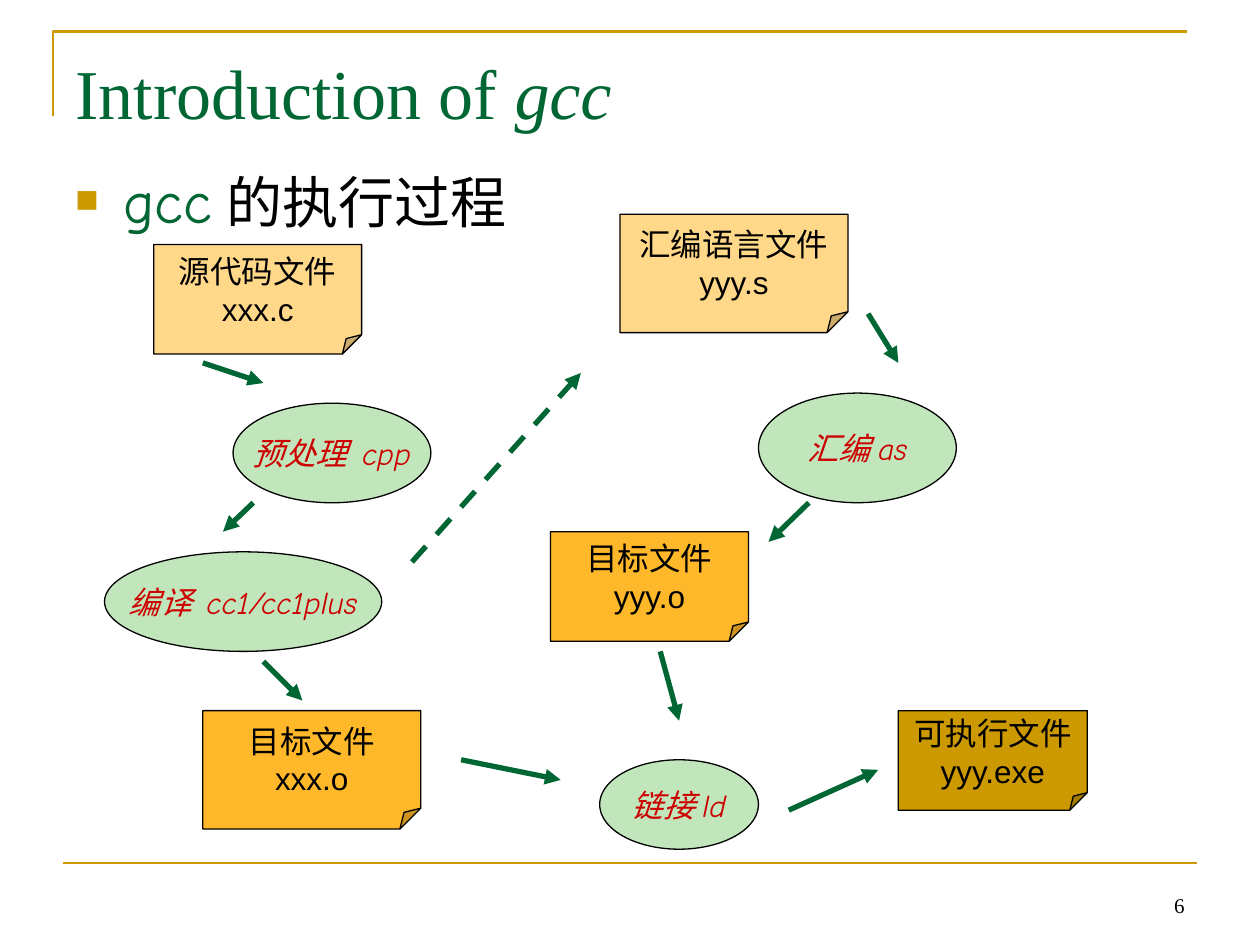
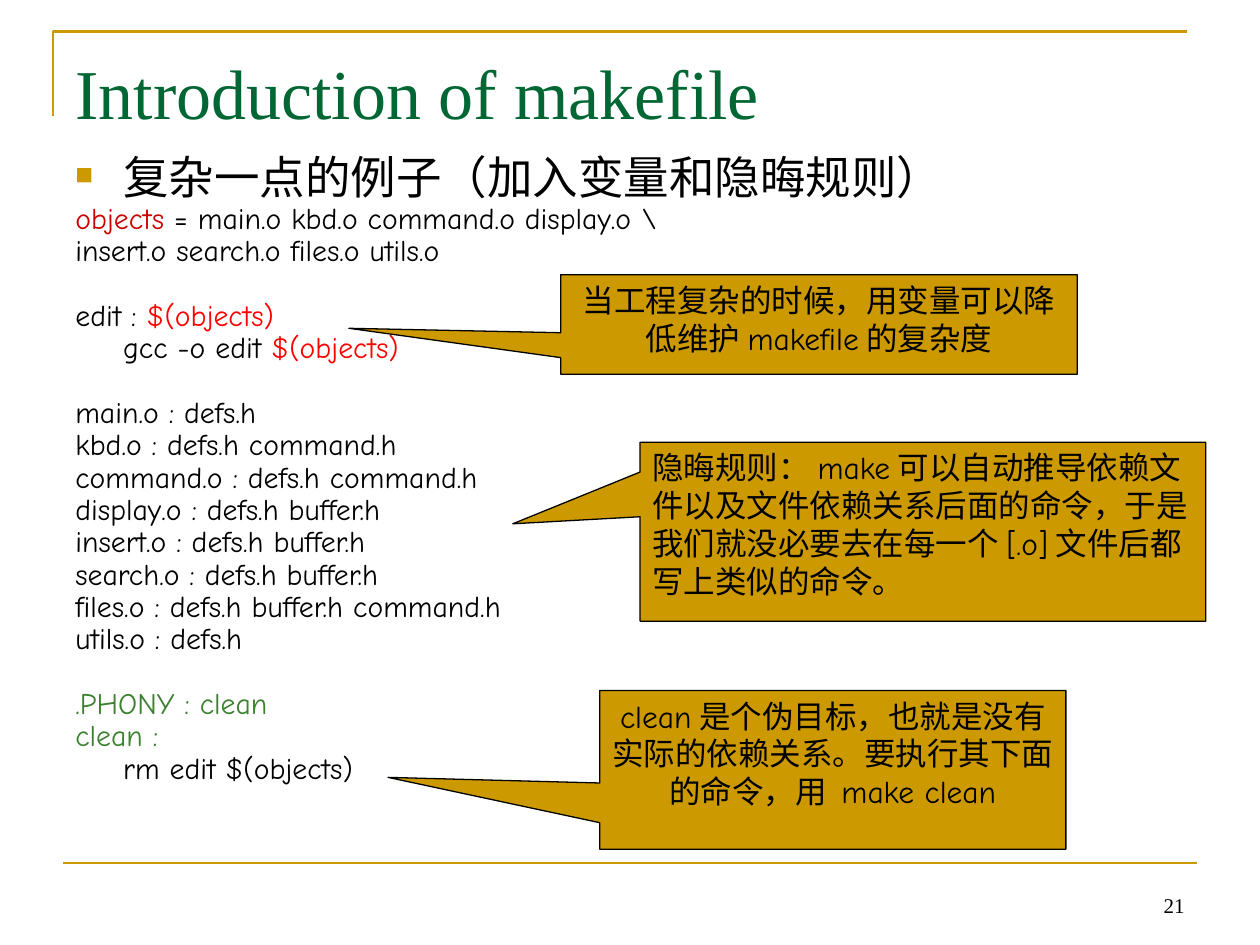
from lxml import etree
from pptx import Presentation
from pptx import util as u
from pptx.dml.color import RGBColor
from pptx.enum import dml, shapes, text
from pptx.oxml import ns

GOLD, GREEN, BLACK, RED = "CC9900", "006633", "000000", "CC0000"
BRIGHT_RED, LEAF = "FF0000", "3B812F"
PAPER, AMBER, MINT = "FFD889", "FFB829", "C2E6BC"
SERIF, SANS, COMIC, CJK = "Times New Roman", "Arial", "Comic Neue", "Noto Sans CJK SC"

TITLE = dict(name=SERIF, size=u.Pt(40), color=GREEN)
NUMBER = dict(name=SERIF, size=u.Pt(12), color=BLACK)
LABEL = dict(name=SANS, size=u.Pt(18), color=BLACK)
NOTE = dict(LABEL, name=CJK)
TERM = dict(LABEL, name=COMIC)
STEP = dict(TERM, color=RED, italic=True)
CODE = dict(TERM, size=u.Pt(17))
VARIABLE = dict(CODE, color=BRIGHT_RED)
PHONY = dict(CODE, color=LEAF)

CENTER = dict(alignment=text.PP_ALIGN.CENTER)
HANGING = 0.38
CODE_LEADING, CODE_GAP = 4.2, 22.7

FILES = [
    ("源代码文件", "xxx.c", PAPER, (1.22, 1.94, 1.65, 0.87)),
    ("目标文件", "xxx.o", AMBER, (1.61, 5.64, 1.73, 0.94)),
    ("汇编语言文件", "yyy.s", PAPER, (4.92, 1.7, 1.81, 0.94)),
    ("目标文件", "yyy.o", AMBER, (4.37, 4.22, 1.57, 0.87)),
    ("可执行文件", "yyy.exe", GOLD, (7.13, 5.64, 1.5, 0.79)),
]
STEPS = [
    ("预处理 cpp", (1.85, 3.2, 1.57, 0.79)),
    ("编译 cc1/cc1plus", (0.83, 4.38, 2.2, 0.79)),
    ("汇编as", (6.02, 3.12, 1.57, 0.87)),
    ("链接ld", (4.76, 6.03, 1.26, 0.71)),
]
FLOWS = [
    (1.61, 2.88, 2.09, 3.04), (2.09, 5.25, 2.4, 5.56), (6.89, 2.49, 7.13, 2.88),
    (2.01, 3.99, 1.77, 4.22), (6.42, 3.99, 6.1, 4.3), (5.24, 5.17, 5.39, 5.72),
    (3.66, 6.03, 4.45, 6.19), (6.26, 6.43, 6.97, 6.11),
]
COMPILE_TO_ASSEMBLY = (3.27, 4.46, 4.61, 2.96)

MAKEFILE = [
    [[("objects ", dict(CODE, color=RED)),
      ("= main.o kbd.o command.o display.o \\", CODE)],
     [("insert.o search.o files.o utils.o", CODE)]],
    [[("edit : ", CODE), ("$(objects)", VARIABLE)],
     [("\tgcc -o edit ", CODE), ("$(objects)", VARIABLE)]],
    [[(rule, CODE)] for rule in (
        "main.o : defs.h",
        "kbd.o : defs.h command.h",
        "command.o : defs.h command.h",
        "display.o : defs.h buffer.h",
        "insert.o : defs.h buffer.h",
        "search.o : defs.h buffer.h",
        "files.o : defs.h buffer.h command.h",
        "utils.o : defs.h")],
    [[(".PHONY : clean", PHONY)], [("clean :", PHONY)],
     [("\trm edit $(objects)", CODE)]],
]
CALLOUTS = [
    ((4.45, 2.18, 4.1, 0.79), dict(adj1=-91000, adj2=3900), CENTER,
     [("当工程复杂的时候，用变量可以降低维护", NOTE), ("makefile", TERM),
      ("的复杂度", NOTE)]),
    ((5.08, 3.51, 4.49, 1.42), dict(adj1=-72500, adj2=-4400), {},
     [("隐晦规则：", NOTE), ("make", TERM),
      ("可以自动推导依赖文件以及文件依赖关系后面的命令，于是我们就没必要去在每一个", NOTE),
      ("[.o]", TERM), ("文件后都写上类似的命令。", NOTE)]),
    ((4.76, 5.48, 3.7, 1.26), dict(adj1=-95400, adj2=4800), CENTER,
     [("clean", TERM),
      ("是个伪目标，也就是没有实际的依赖关系。要执行其下面的命令，用 ", LABEL),
      ("make clean", TERM)]),
]


def rgb(value):
    """Turn a hex string into a colour."""
    return RGBColor.from_string(value)


def inches(values):
    """Convert a sequence of numbers to inch lengths."""
    return [u.Inches(value) for value in values]


def assign(target, values):
    """Set each named attribute on the target."""
    for key, value in values.items():
        setattr(target, key, value)


def add_element(parent, tag, **attributes):
    """Append a drawing element to the parent."""
    return etree.SubElement(parent, ns.qn(tag), attributes)


def write(paragraph, spans, layout=None):
    """Write styled spans into a paragraph."""
    assign(paragraph, layout or {})
    for words, style in spans:
        run = paragraph.add_run()
        run.text = words
        assign(run.font, {k: v for k, v in style.items() if k != "color"})
        run.font.color.rgb = rgb(style["color"])
        add_element(run._r.get_or_add_rPr(), "a:ea", typeface=CJK)


def hang(paragraph):
    """Give a paragraph its hanging indent."""
    properties = paragraph._p.get_or_add_pPr()
    properties.set("marL", str(u.Inches(HANGING)))
    properties.set("indent", str(-u.Inches(HANGING)))
    return properties


def write_heading(paragraph, spans, layout=None):
    """Write a heading with a square gold bullet."""
    properties = hang(paragraph)
    color = add_element(properties, "a:buClr")
    add_element(color, "a:srgbClr", val=GOLD)
    add_element(properties, "a:buSzPct", val="65000")
    add_element(properties, "a:buFont", typeface=SANS)
    add_element(properties, "a:buChar", char="■")
    write(paragraph, spans, layout)


def write_code(paragraph, spans, space):
    """Write one line of code that can start with a tab."""
    tabs = add_element(hang(paragraph), "a:tabLst")
    add_element(tabs, "a:tab", pos="0", algn="l")
    write(paragraph, spans, dict(line_spacing=0.7, space_before=u.Pt(space)))


def add_text(slide, place, anchor=text.MSO_ANCHOR.TOP):
    """Add a wrapping text box and return its frame."""
    frame = slide.shapes.add_textbox(*inches(place)).text_frame
    assign(frame, dict(word_wrap=True, vertical_anchor=anchor))
    return frame


def add_line(slide, ends, color, width):
    """Add a straight line without a shadow."""
    line = slide.shapes.add_connector(shapes.MSO_CONNECTOR.STRAIGHT, *inches(ends))
    line.line.color.rgb = rgb(color)
    line.line.width = u.Pt(width)
    add_element(line._element.spPr, "a:effectLst")
    return line


def add_arrow(slide, ends, dash=None):
    """Add a green arrow of the flow."""
    outline = add_line(slide, ends, GREEN, 3).line
    if dash:
        outline.dash_style = dash
    add_element(outline._get_or_add_ln(), "a:tailEnd", type="triangle")


def add_block(slide, preset, place, fill, guides=None):
    """Add a filled shape with a thin black outline."""
    block = slide.shapes.add_shape(preset, *inches(place))
    block.shadow.inherit = False
    block.fill.solid()
    block.fill.fore_color.rgb = rgb(fill)
    block.line.color.rgb = rgb(BLACK)
    block.line.width = u.Pt(0.75)
    if guides:
        geometry = block._element.spPr.find(ns.qn("a:prstGeom"))
        for child in list(geometry):
            geometry.remove(child)
        values = add_element(geometry, "a:avLst")
        for name, value in guides.items():
            add_element(values, "a:gd", name=name, fmla=f"val {value}")
    return block.text_frame


def add_node(slide, preset, place, fill, lines, style, guides=None):
    """Add a flow node with centred lines of text."""
    frame = add_block(slide, preset, place, fill, guides)
    assign(frame, dict(word_wrap=False, vertical_anchor=text.MSO_ANCHOR.MIDDLE))
    for index, words in enumerate(lines):
        paragraph = frame.add_paragraph() if index else frame.paragraphs[0]
        write(paragraph, [(words, style)], CENTER)


def add_callout(slide, place, pointer, layout, spans):
    """Add a gold callout with its pointer."""
    frame = add_block(slide, shapes.MSO_SHAPE.RECTANGULAR_CALLOUT, place, GOLD, pointer)
    assign(frame, dict(word_wrap=True, vertical_anchor=text.MSO_ANCHOR.TOP))
    write(frame.paragraphs[0], spans, dict(alignment=text.PP_ALIGN.LEFT) | layout)


def add_page(deck, title_spans, number):
    """Add a slide with the shared frame, title and number."""
    slide = deck.slides.add_slide(deck.slide_layouts[5])
    start, corner, end = map(inches, ((0.42, 0.92), (0.42, 0.25), (9.42, 0.25)))
    builder = slide.shapes.build_freeform(*start)
    builder.add_line_segments([corner, end], close=False)
    bracket = builder.convert_to_shape()
    bracket.shadow.inherit = False
    bracket.fill.background()
    bracket.line.color.rgb = rgb(GOLD)
    bracket.line.width = u.Pt(1.5)
    add_line(slide, (0.5, 6.85, 9.5, 6.85), GOLD, 1.5)

    title = slide.shapes.title
    assign(title, dict(zip(("left", "top", "width", "height"), inches((0.5, 0.3, 9, 0.86)))))
    title.text_frame.vertical_anchor = text.MSO_ANCHOR.MIDDLE
    write(title.text_frame.paragraphs[0], title_spans, dict(alignment=text.PP_ALIGN.LEFT))

    footer = add_text(slide, (7.17, 6.92, 2.33, 0.41), text.MSO_ANCHOR.BOTTOM)
    write(footer.paragraphs[0], [(number, NUMBER)], dict(alignment=text.PP_ALIGN.RIGHT))
    body = add_text(slide, (0.5, 1.25, 9, 5.5))
    return slide, body


def build_gcc(deck):
    """Build the slide on how gcc runs."""
    title = [("Introduction of ", TITLE), ("gcc", dict(TITLE, italic=True))]
    slide, body = add_page(deck, title, "6")
    write_heading(body.paragraphs[0], [
        ("gcc", dict(name=COMIC, size=u.Pt(34), color=GREEN)),
        ("的执行过程", dict(LABEL, size=u.Pt(32)))])
    for kind, name, fill, place in FILES:
        add_node(slide, shapes.MSO_SHAPE.FOLDED_CORNER, place, fill,
                 (kind, name), LABEL, dict(adj=17600))
    for name, place in STEPS:
        add_node(slide, shapes.MSO_SHAPE.OVAL, place, MINT, (name,), STEP)
    for ends in FLOWS:
        add_arrow(slide, ends)
    add_arrow(slide, COMPILE_TO_ASSEMBLY, dml.MSO_LINE.DASH)


def build_makefile(deck):
    """Build the slide on makefile variables and implicit rules."""
    slide, body = add_page(deck, [("Introduction of makefile", TITLE)], "21")
    write_heading(body.paragraphs[0],
                  [("复杂一点的例子（加入变量和隐晦规则）", dict(LABEL, size=u.Pt(26)))],
                  dict(line_spacing=0.7))
    for section, lines in enumerate(MAKEFILE):
        for index, spans in enumerate(lines):
            space = CODE_GAP if section and not index else CODE_LEADING
            write_code(body.add_paragraph(), spans, space)
    for callout in CALLOUTS:
        add_callout(slide, *callout)


def main():
    """Build and save the deck."""
    deck = Presentation()
    assign(deck, dict(slide_width=u.Inches(10), slide_height=u.Inches(7.5)))
    build_gcc(deck)
    build_makefile(deck)
    deck.save("out.pptx")


if __name__ == "__main__":
    main()
